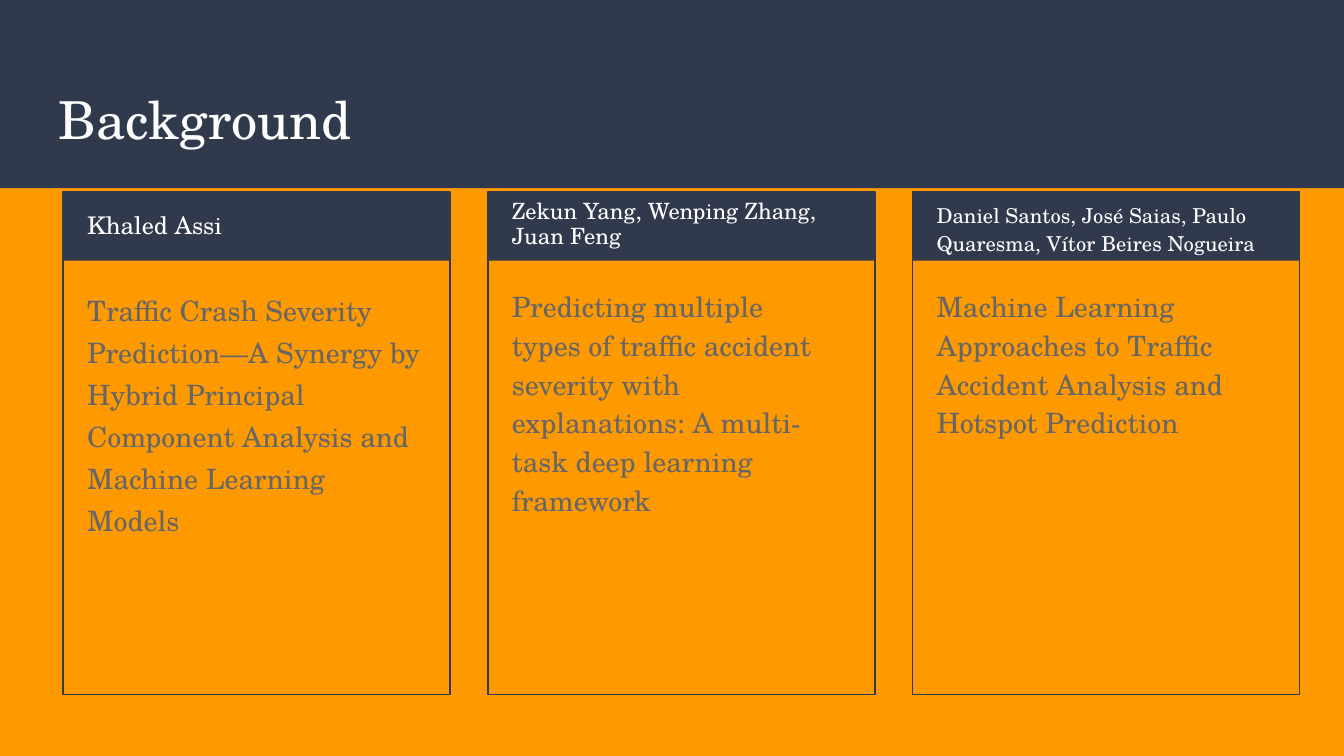
from pptx import Presentation
from pptx.dml.color import RGBColor
from pptx.enum.shapes import MSO_SHAPE
from pptx.enum.text import MSO_ANCHOR
from pptx.util import Inches, Pt

NAVY = RGBColor(0x31, 0x39, 0x4D)
ORANGE = RGBColor(0xFF, 0x99, 0x00)
GREY = RGBColor(0x66, 0x66, 0x66)
WHITE = RGBColor(0xFF, 0xFF, 0xFF)
FONT = "TeX Gyre Schola"

CARD_LEFT, CARD_TOP, CARD_PITCH = 0.47, 1.43, 3.16
CARD_W, CARD_H, HEADER_H = 2.88, 3.74, 0.51

# authors, author top, size and spacing, paper title, title spacing and width
PAPERS = [
    ("Khaled Assi", 1.43, 13, 1.15,
     "Traffic Crash Severity Prediction—A Synergy by Hybrid Principal "
     "Component Analysis and Machine Learning Models", 1.25, 2.71),
    ("Zekun Yang, Wenping Zhang, Juan Feng", 1.38, 12, 0.95,
     "Predicting multiple types of traffic accident severity with "
     "explanations: A multi-task deep learning framework", 1.15, 2.58),
    ("Daniel Santos, José Saias, Paulo Quaresma, Vítor Beires Nogueira",
     1.38, 11, 1.15,
     "Machine Learning Approaches to Traffic Accident Analysis and "
     "Hotspot Prediction", 1.15, 2.71),
]


def add_rect(shapes, x, y, w, h, fill=None, line=None):
    sp = shapes.add_shape(MSO_SHAPE.RECTANGLE,
                          Inches(x), Inches(y), Inches(w), Inches(h))
    sp.shadow.inherit = False
    if fill is None:
        sp.fill.background()
    else:
        sp.fill.solid()
        sp.fill.fore_color.rgb = fill
    if line is None:
        sp.line.fill.background()
    else:
        sp.line.color.rgb = line
        sp.line.width = Pt(0.75)


def add_text(shapes, x, y, w, h, text, size, color, spacing=1.0):
    tf = shapes.add_textbox(Inches(x), Inches(y),
                            Inches(w), Inches(h)).text_frame
    margins = {f"margin_{side}": Inches(0.1)
               for side in ("left", "top", "right", "bottom")}
    frame_format = {"word_wrap": True, "vertical_anchor": MSO_ANCHOR.TOP,
                    **margins}
    for name, value in frame_format.items():
        setattr(tf, name, value)
    p = tf.paragraphs[0]
    p.line_spacing = spacing
    r = p.add_run()
    r.text = text
    for name, value in {"name": FONT, "size": Pt(size)}.items():
        setattr(r.font, name, value)
    r.font.color.rgb = color


def add_card(s, x, paper):
    authors, top, size, author_spacing, title, title_spacing, title_w = paper
    # Header bar and outline belong together
    group = s.shapes.add_group_shape()
    add_rect(group.shapes, x, CARD_TOP, CARD_W, HEADER_H, fill=NAVY)
    add_rect(group.shapes, x, CARD_TOP, CARD_W, CARD_H, line=NAVY)
    # Authors, then paper title
    add_text(s.shapes, x + 0.08, top, 2.73, 0.6, authors, size, WHITE,
             author_spacing)
    add_text(s.shapes, x + 0.08, 2.02, title_w, 3.06, title, 15, GREY,
             title_spacing)


def main():
    prs = Presentation()
    # Widescreen, 16:9
    prs.slide_width = Inches(10)
    prs.slide_height = prs.slide_width * 9 // 16
    s = prs.slides.add_slide(prs.slide_layouts[6])
    s.background.fill.solid()
    s.background.fill.fore_color.rgb = ORANGE

    # Title band
    add_rect(s.shapes, 0, 0, 10, 1.4, fill=NAVY)
    add_text(s.shapes, 0.34, 0.55, 9.32, 0.68, "Background", 28, WHITE)

    # One card per paper
    for i, paper in enumerate(PAPERS):
        add_card(s, CARD_LEFT + i * CARD_PITCH, paper)

    prs.save("out.pptx")


if __name__ == "__main__":
    main()
